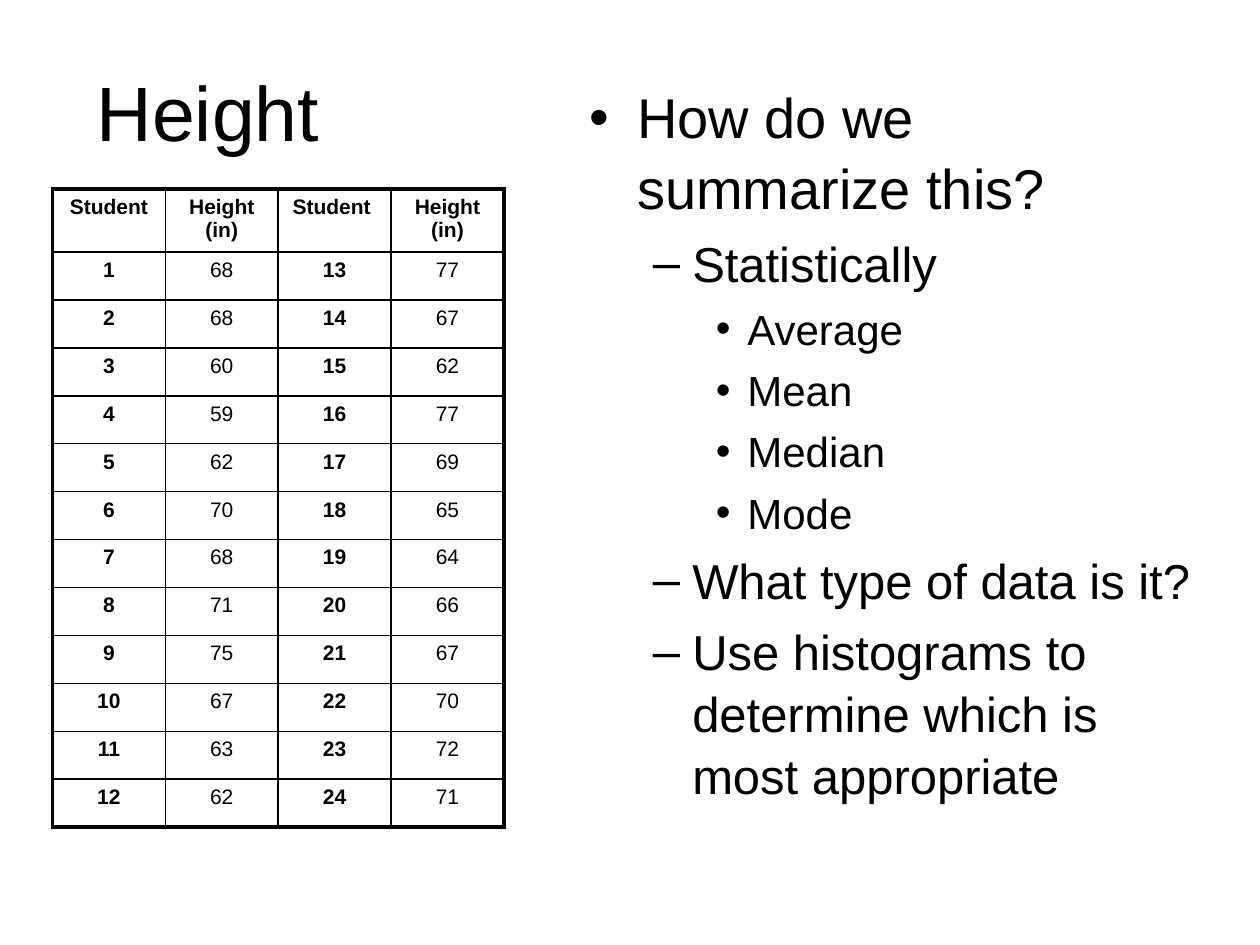
from pptx import Presentation
from pptx.dml.color import RGBColor
from pptx.enum.text import MSO_ANCHOR, MSO_AUTO_SIZE, PP_ALIGN
from pptx.oxml.ns import qn
from pptx.util import Pt
from lxml.etree import SubElement

BLACK = RGBColor(0, 0, 0)
WHITE = RGBColor(255, 255, 255)
FONT = "Arial"

HEADERS = ["Student", "Height (in)", "Student ", "Height (in)"]
HEIGHTS = [68, 68, 60, 59, 62, 70, 68, 71, 75, 67, 63, 62,
           77, 67, 62, 77, 69, 65, 64, 66, 67, 70, 72, 71]

# Outline level: text size, left margin, hanging indent, bullet
LEVELS = [(32, 27, 27, "•"), (28, 58.5, 22.5, "–"), (24, 90, 18, "•")]
OUTLINE = [
    (0, "How do we summarize this?"),
    (1, "Statistically"),
    (2, "Average"),
    (2, "Mean"),
    (2, "Median"),
    (2, "Mode"),
    (1, "What type of data is it?"),
    (1, "Use histograms to determine which is most appropriate"),
]


def add_run(p, text, size, bold=False):
    r = p.add_run()
    r.text = text
    r.font.name = FONT
    r.font.size = Pt(size)
    r.font.bold = bold
    r.font.color.rgb = BLACK


def place_title(slide, left, top, width, height):
    sp = slide.shapes.title
    sp.left, sp.top, sp.width, sp.height = map(Pt, (left, top, width, height))
    tf = sp.text_frame
    tf.auto_size = MSO_AUTO_SIZE.NONE
    tf.vertical_anchor = MSO_ANCHOR.MIDDLE
    p = tf.paragraphs[0]
    p.alignment = PP_ALIGN.LEFT
    add_run(p, "Height", 44)


def set_borders(cell, widths):
    tc_pr = cell._tc.get_or_add_tcPr()
    for index, (side, width) in enumerate(widths.items()):
        ln = SubElement(tc_pr, qn(f"a:ln{side}"), w=str(Pt(width)))
        fill = SubElement(ln, qn("a:solidFill"))
        SubElement(fill, qn("a:srgbClr"), val=str(BLACK))
        tc_pr.insert(index, ln)  # borders come before the cell fill


def add_height_table(slide, left, top, width, row_height):
    half = len(HEIGHTS) // 2
    rows = [HEADERS] + [
        [i + 1, HEIGHTS[i], i + 1 + half, HEIGHTS[i + half]] for i in range(half)
    ]
    last_row, last_col = len(rows) - 1, len(HEADERS) - 1
    table = slide.shapes.add_table(
        len(rows), len(HEADERS), Pt(left), Pt(top), Pt(width), Pt(row_height * len(rows))
    ).table
    for row in table.rows:
        row.height = Pt(row_height)

    for y, values in enumerate(rows):
        for x, value in enumerate(values):
            cell = table.cell(y, x)
            cell.fill.solid()
            cell.fill.fore_color.rgb = WHITE
            # Heavy outer frame, thin inner lines
            edges = {"L": x == 0, "R": x == last_col, "T": y == 0, "B": y == last_row}
            set_borders(cell, {side: 2.25 if outer else 1 for side, outer in edges.items()})
            p = cell.text_frame.paragraphs[0]
            p.alignment = PP_ALIGN.CENTER
            add_run(p, str(value), 12, bold=y == 0 or x % 2 == 0)


def add_outline(slide, left, top, width, height):
    tf = slide.shapes.add_textbox(Pt(left), Pt(top), Pt(width), Pt(height)).text_frame
    tf.word_wrap = True
    for i, (level, text) in enumerate(OUTLINE):
        size, margin, hanging, bullet = LEVELS[level]
        p = tf.paragraphs[0] if i == 0 else tf.add_paragraph()
        p.level = level
        p.line_spacing = 1.05
        p.space_before = Pt(size * 0.2)
        p_pr = p._p.get_or_add_pPr()
        p_pr.set("marL", str(Pt(margin)))
        p_pr.set("indent", str(-Pt(hanging)))
        SubElement(p_pr, qn("a:buFont"), typeface=FONT)
        SubElement(p_pr, qn("a:buChar"), char=bullet)
        add_run(p, text, size)


def main():
    prs = Presentation()
    prs.slide_width, prs.slide_height = Pt(720), Pt(540)
    slide = prs.slides.add_slide(prs.slide_layouts[5])  # title only
    place_title(slide, 48, 18, 204, 90)
    add_outline(slide, 330, 42, 360, 426)
    add_height_table(slide, 30, 108, 258, 27.4)
    prs.save("out.pptx")


if __name__ == "__main__":
    main()
